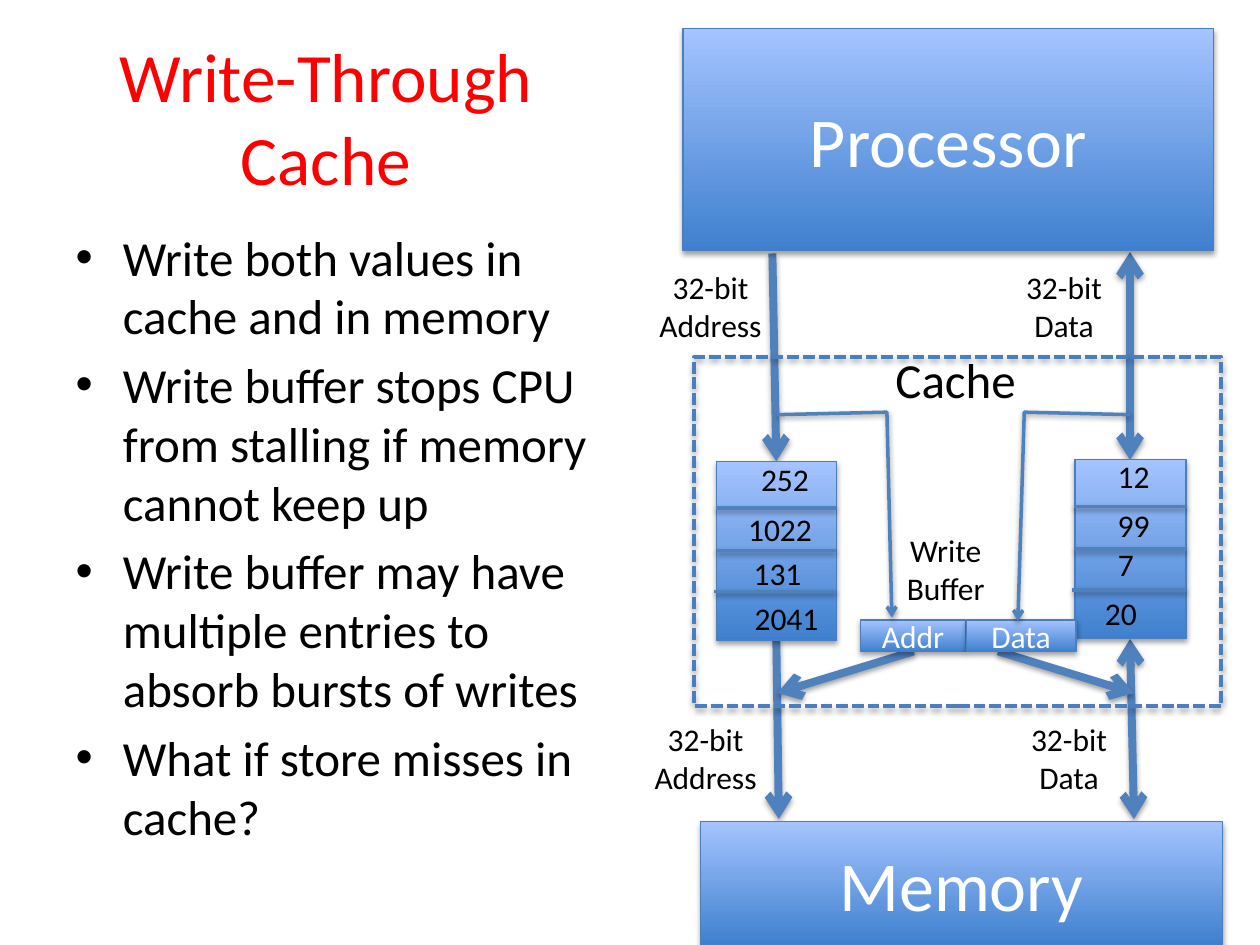
from pptx import Presentation
from pptx.dml.color import RGBColor
from pptx.enum.dml import MSO_LINE
from pptx.enum.shapes import MSO_CONNECTOR, MSO_SHAPE
from pptx.enum.text import MSO_ANCHOR, MSO_AUTO_SIZE, PP_ALIGN
from pptx.oxml import parse_xml
from pptx.oxml.ns import nsdecls, qn
from pptx.util import Cm, Pt
from lxml import etree

STRAIGHT = MSO_CONNECTOR.STRAIGHT
RECTANGLE = MSO_SHAPE.RECTANGLE
DASHED = MSO_LINE.SQUARE_DOT
MIDDLE = MSO_ANCHOR.MIDDLE
NO_FIT = MSO_AUTO_SIZE.NONE
LEFT, CENTER = PP_ALIGN.LEFT, PP_ALIGN.CENTER
ARROW_BLUE, EDGE_BLUE = "4F81BD", "4B7EBC"
BLACK, WHITE = "000000", "FFFFFF"


def paint(color, value):
    color.rgb = RGBColor.from_string(value)


def write(box, text, size=18, color=BLACK, align=CENTER, wrap=False, anchor=None):
    frame = box.text_frame
    frame.text = text
    frame.word_wrap = wrap
    frame.auto_size = NO_FIT
    if anchor is not None:
        frame.vertical_anchor = anchor
    for para in frame.paragraphs:
        para.alignment = align
        for span in para.runs:
            span.font.name = "Calibri"
            span.font.size = Pt(size)
            paint(span.font.color, color)


deck = Presentation()
deck.slide_width, deck.slide_height = Cm(25.4), Cm(19.05)
page = deck.slides.add_slide(deck.slide_layouts[1])
shapes = page.shapes

title, body = page.placeholders
title.left, title.top, title.width, title.height = Cm(1.27), Cm(0.76), Cm(10.6), Cm(3.18)
write(title, "Write-Through Cache", size=39.6, color="FF0000", wrap=True, anchor=MIDDLE)
body.left, body.top, body.width, body.height = Cm(1.27), Cm(4.45), Cm(11.23), Cm(12.57)
points = [
    "Write both values in cache and in memory",
    "Write buffer stops CPU from stalling if memory cannot keep up",
    "Write buffer may have multiple entries to absorb bursts of writes",
    "What if store misses in cache?",
]
write(body, "\n".join(points), size=28, align=LEFT, wrap=True)

outlined = []

one_way, two_way = ["tailEnd"], ["headEnd", "tailEnd"]
arrows = [
    (15.57, 5.11, 15.65, 9.3, one_way),
    (15.65, 12.9, 15.7, 16.51, one_way),
    (22.78, 5.08, 22.78, 9.27, two_way),
    (22.78, 12.88, 22.86, 16.51, two_way),
    (18.42, 13.13, 15.67, 13.97, one_way),
    (20.12, 13.13, 22.86, 13.97, one_way),
]
for *ends, heads in arrows:
    arrow = shapes.add_connector(STRAIGHT, *map(Cm, ends))
    outlined.append((arrow, ARROW_BLUE, 4.5, heads))

cache = shapes.add_shape(RECTANGLE, Cm(14), Cm(7.19), Cm(10.62), Cm(7.04))
cache.fill.background()
cache.line.dash_style = DASHED
outlined.append((cache, EDGE_BLUE, 2.25, []))

address_store = (14.45, 9.3, 2.41, 3.61)
data_store = (21.67, 9.27, 2.24, 3.61)
blocks = [
    ("Processor", 40, (13.77, 0.58, 10.69, 4.47)),
    ("Memory", 40, (14.12, 16.56, 10.52, 2.49)),
    ("", 18, address_store),
    ("", 18, data_store),
    ("Addr", 18, (17.35, 12.5, 2.11, 0.64)),
    ("Data", 18, (19.48, 12.5, 2.21, 0.64)),
]
for text, size, place in blocks:
    block = shapes.add_shape(RECTANGLE, *map(Cm, place))
    block.fill.gradient()
    block.fill.gradient_angle = 90
    for stop, shade in zip(block.fill.gradient_stops, ("3F80CE", "A4C4FF")):
        paint(stop.color, shade)
    if text:
        write(block, text, size=size, color=WHITE, wrap=True, anchor=MIDDLE)
    outlined.append((block, EDGE_BLUE, 0.75, []))

for left, top, width, height in (address_store, data_store):
    for drop, shift in ((0.94, -0.02), (1.8, 0), (2.62, -0.05)):
        ends = (left + shift, top + drop, left + width, top + drop)
        divider = shapes.add_connector(STRAIGHT, *map(Cm, ends))
        outlined.append((divider, ARROW_BLUE, 2, []))

buffer_paths = [
    [(15.67, 8.36), (17.88, 8.31), (17.98, 12.45)],
    [(22.78, 8.36), (20.65, 8.31), (20.52, 12.52)],
]
for corners in buffer_paths:
    start, *rest = [(Cm(x), Cm(y)) for x, y in corners]
    builder = shapes.build_freeform(*start)
    builder.add_line_segments(rest, close=False)
    elbow = builder.convert_to_shape()
    elbow.fill.background()
    outlined.append((elbow, ARROW_BLUE, 2, one_way))

for item, color, weight, heads in outlined:
    paint(item.line.color, color)
    item.line.width = Pt(weight)
    properties = item.element.spPr
    for head in heads:
        etree.SubElement(properties.find(qn("a:ln")), qn("a:" + head), type="arrow")
    properties.append(parse_xml(
        f'<a:effectLst {nsdecls("a")}><a:outerShdw blurRad="40000" dist="22000" '
        'dir="5400000" rotWithShape="0"><a:srgbClr val="000000">'
        '<a:alpha val="36000"/></a:srgbClr></a:outerShdw></a:effectLst>'))

labels = [
    ("32-bit\nAddress", 18, (13.03, 5.28, 2.59, 1.8)),
    ("32-bit\nData", 18, (20.42, 5.28, 2.06, 1.8)),
    ("32-bit\nAddress", 18, (12.93, 14.4, 2.59, 1.8)),
    ("32-bit\nData", 18, (20.52, 14.4, 2.06, 1.8)),
    ("Cache", 28, (17.78, 6.93, 2.97, 1.45)),
    ("Write\nBuffer", 18, (17.58, 10.59, 2.97, 1.8)),
]
entries = [
    ("252", 15.09, 9.14), ("1022", 14.83, 10.16), ("131", 14.94, 11.05), ("2041", 14.96, 11.96),
    ("12", 22.28, 9.09), ("99", 22.28, 10.08), ("7", 22.28, 10.87), ("20", 22.02, 11.86),
]
for text, left, top in entries:
    labels.append((text, 18, (left, top, 0.51 + 0.32 * len(text), 1.02)))
for text, size, place in labels:
    box = shapes.add_textbox(*map(Cm, place))
    write(box, text, size=size)

deck.save("out.pptx")
